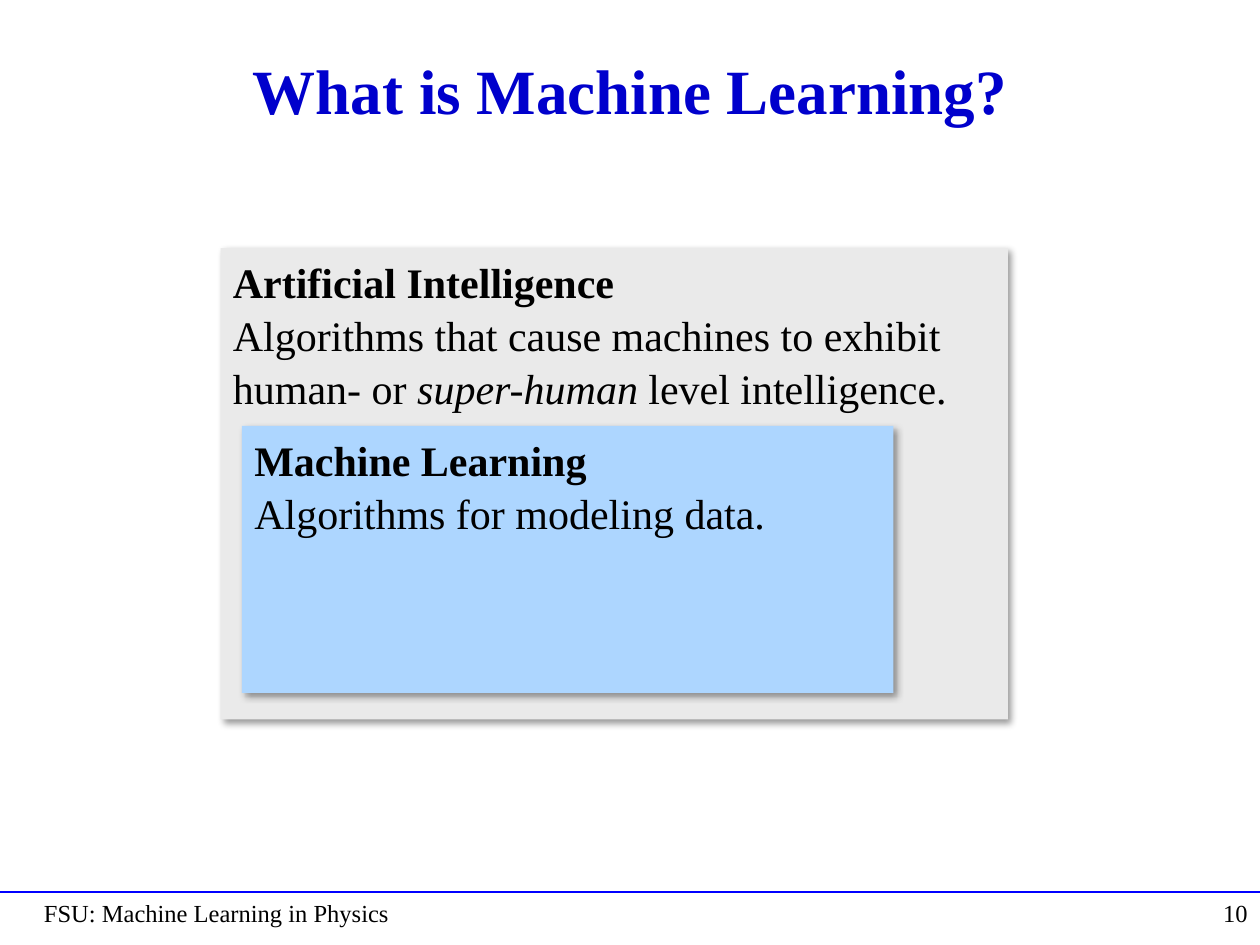
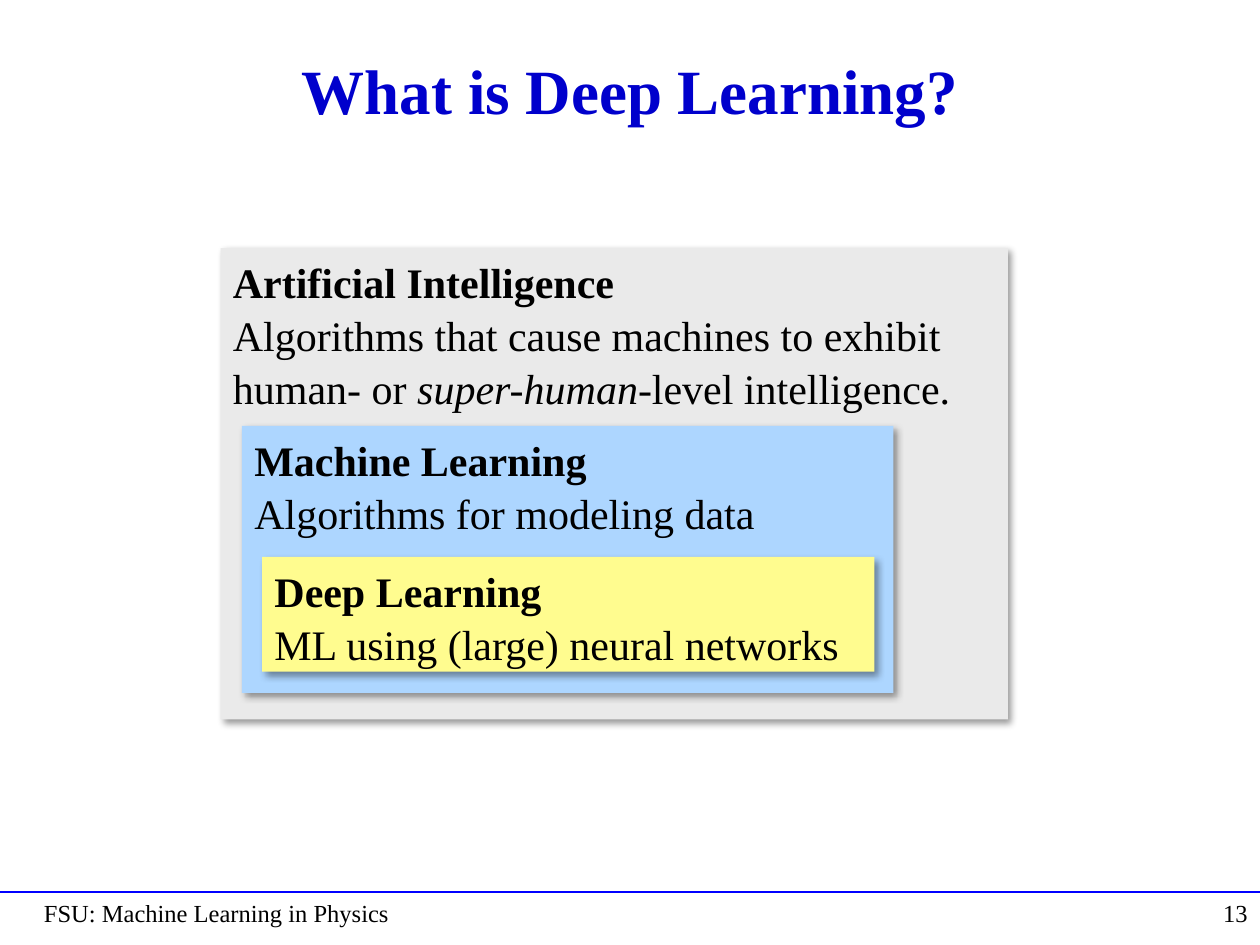
from dataclasses import dataclass

from lxml.etree import SubElement
from pptx import Presentation
from pptx.dml.color import RGBColor
from pptx.enum.shapes import MSO_CONNECTOR as Connector, MSO_SHAPE as Shape
from pptx.enum.text import MSO_ANCHOR as Anchor, PP_ALIGN as Align
from pptx.oxml.ns import qn
from pptx.slide import Slide
from pptx.util import Inches, Pt

# Shared style
FONT = "Times New Roman"
BLACK, TITLE_BLUE, RULE_BLUE = "000000", "0000CC", "0000FF"
GREY, SKY, YELLOW = "EAEAEA", "ADD6FF", "FFFC8F"
FOOTER = "FSU: Machine Learning in Physics"
FOOTER_TOP, FOOTER_HEIGHT = 7.08, 0.42


@dataclass(frozen=True)
class Box:
    left: float
    top: float
    width: float
    height: float

    def lengths(self) -> list[Inches]:
        return [Inches(v) for v in (self.left, self.top, self.width, self.height)]


@dataclass(frozen=True)
class Field:
    """A nested box: a bold name and a definition of (text, italic) runs."""
    box: Box
    fill: str
    name: str
    definition: list[tuple[str, bool]]


@dataclass(frozen=True)
class Page:
    title: str
    number: int
    fields: list[Field]


def rgb(color: str) -> RGBColor:
    return RGBColor.from_string(color)


def style(p, size: float, color: str = BLACK, bold: bool = False) -> None:
    p.font.name = FONT
    p.font.size = Pt(size)
    p.font.bold = bold
    p.font.color.rgb = rgb(color)


def add_text(s: Slide, box: Box, text: str, size: float, color: str = BLACK,
             bold: bool = False, align: Align = Align.LEFT,
             anchor: Anchor = Anchor.TOP) -> None:
    tf = s.shapes.add_textbox(*box.lengths()).text_frame
    tf.word_wrap = True
    tf.vertical_anchor = anchor
    p = tf.paragraphs[0]
    p.text = text
    p.alignment = align
    style(p, size, color, bold)


def add_shadow(sp) -> None:
    sp.shadow.inherit = False
    effects = sp._element.spPr.find(qn("a:effectLst"))
    shadow = SubElement(effects, qn("a:outerShdw"), blurRad=str(Pt(4)),
                        dist=str(Pt(3)), dir=str(45 * 60000), rotWithShape="0")
    color = SubElement(shadow, qn("a:srgbClr"), val=BLACK)
    SubElement(color, qn("a:alpha"), val="40000")


def add_field(s: Slide, field: Field) -> None:
    sp = s.shapes.add_shape(Shape.RECTANGLE, *field.box.lengths())
    sp.fill.solid()
    sp.fill.fore_color.rgb = rgb(field.fill)
    sp.line.fill.background()
    add_shadow(sp)

    tf = sp.text_frame
    tf.word_wrap = True
    tf.vertical_anchor = Anchor.TOP
    name, definition = tf.paragraphs[0], tf.add_paragraph()
    name.text = field.name
    for text, italic in field.definition:
        r = definition.add_run()
        r.text = text
        if italic:
            r.font.italic = True
    for p in (name, definition):
        p.alignment = Align.LEFT
        p.line_spacing = 1.05
        style(p, 24, bold=p is name)


def add_rule(s: Slide) -> None:
    y = Inches(FOOTER_TOP)
    line = s.shapes.add_connector(Connector.STRAIGHT, Inches(0), y, Inches(10), y)
    line.line.color.rgb = rgb(RULE_BLUE)
    line.line.width = Pt(1)
    SubElement(line._element.spPr, qn("a:effectLst"))


def add_page(prs, page: Page) -> None:
    s = prs.slides.add_slide(prs.slide_layouts[6])
    add_rule(s)
    add_text(s, Box(0.75, 0.25, 8.5, 0.92), page.title, 36, TITLE_BLUE, True,
             Align.CENTER, Anchor.MIDDLE)
    add_text(s, Box(9.08, FOOTER_TOP, 0.92, FOOTER_HEIGHT), str(page.number), 14,
             align=Align.RIGHT)
    add_text(s, Box(0.25, FOOTER_TOP, 8.75, FOOTER_HEIGHT), FOOTER, 14)
    for field in page.fields:
        add_field(s, field)


# The nested fields, from outermost to innermost
def ai(ending: list[tuple[str, bool]]) -> Field:
    opening = ("Algorithms that cause machines to exhibit human- or ", False)
    return Field(Box(1.75, 1.97, 6.25, 3.74), GREY, "Artificial Intelligence",
                 [opening, *ending])


def ml(definition: str) -> Field:
    return Field(Box(1.92, 3.38, 5.17, 2.12), SKY, "Machine Learning",
                 [(definition, False)])


DEEP_LEARNING = Field(Box(2.08, 4.42, 4.86, 0.91), YELLOW, "Deep Learning",
                      [("ML using (large) neural networks", False)])

PAGES = [
    Page("What is Machine Learning?", 10, [
        ai([("super-human", True), (" level intelligence.", False)]),
        ml("Algorithms for modeling data."),
    ]),
    Page("What is Deep Learning?", 13, [
        ai([("super-human-", True), ("level intelligence.", False)]),
        ml("Algorithms for modeling data"),
        DEEP_LEARNING,
    ]),
]


def main() -> None:
    prs = Presentation()
    prs.slide_width, prs.slide_height = Inches(10), Inches(7.5)
    for page in PAGES:
        add_page(prs, page)
    prs.save("out.pptx")


if __name__ == "__main__":
    main()
